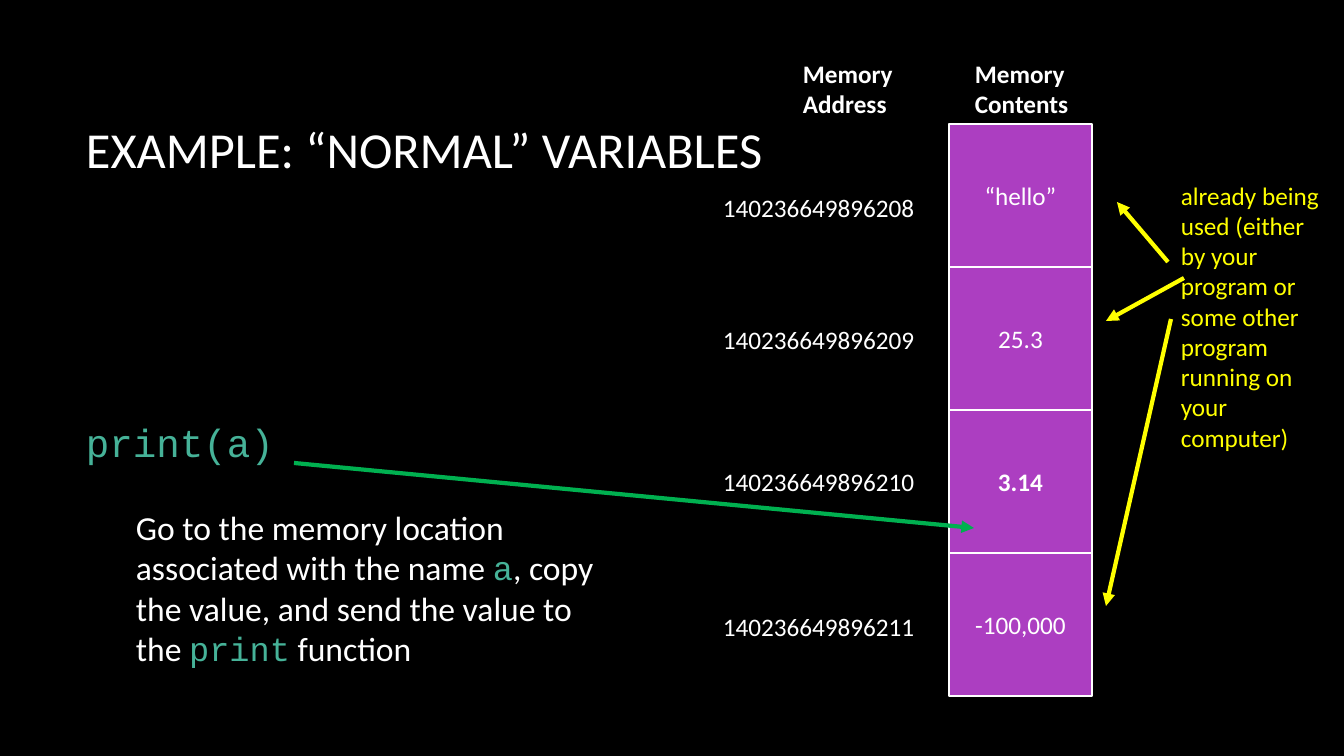
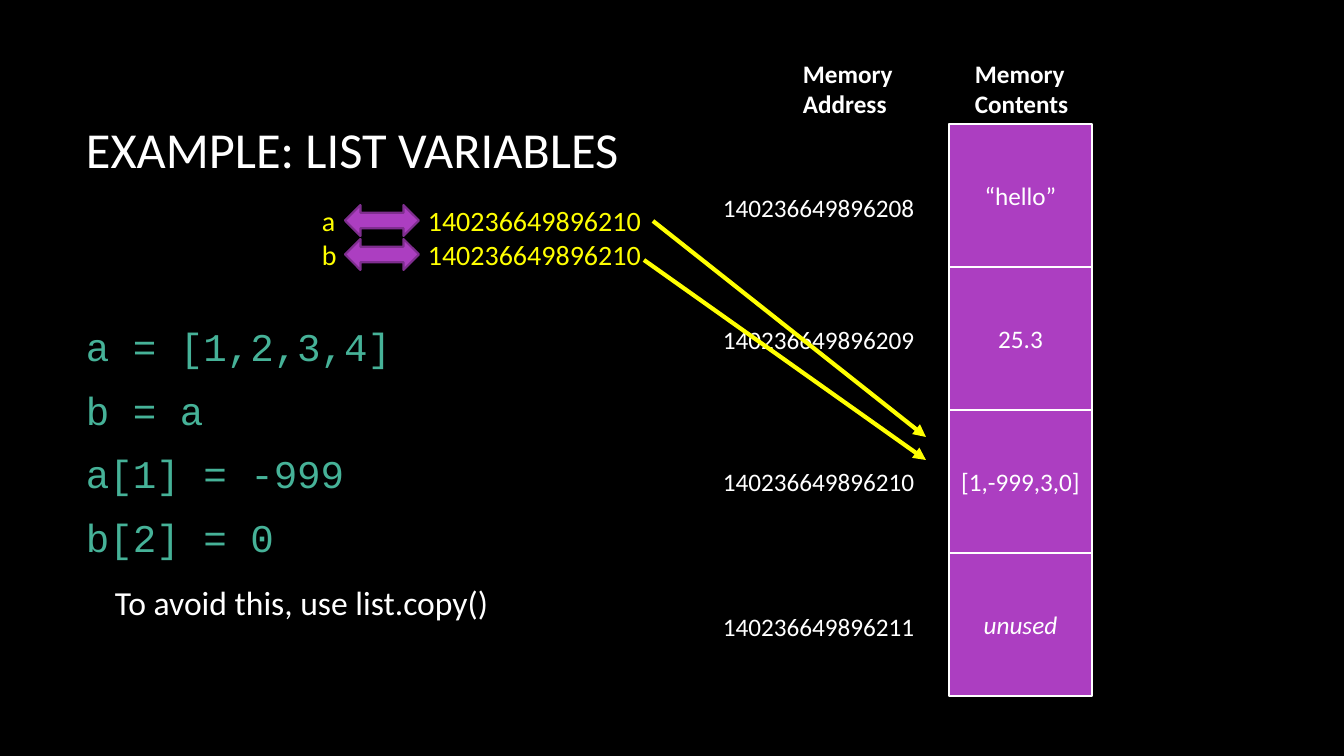
"""Build two slides on how variables refer to memory locations."""
from lxml.etree import SubElement
from pptx import Presentation
from pptx.dml.color import RGBColor
from pptx.enum.shapes import MSO_CONNECTOR, MSO_SHAPE
from pptx.enum.text import MSO_ANCHOR, MSO_AUTO_SIZE, PP_ALIGN
from pptx.oxml.ns import qn
from pptx.util import Emu, Pt

SCALE = 12192000 / 1344
COLORS = {
    "background": "000000", "text": "FFFFFF", "code": "46B298", "cell": "AC3EC1",
    "cell_edge": "7F2E8F", "note": "FFFF00", "lookup": "00B050",
}
HEADINGS = [("Memory Address", 793, 111), ("Memory Contents", 965, 140)]
ADDRESSES = [("140236649896208", 187), ("140236649896209", 319),
             ("140236649896210", 461), ("140236649896211", 606)]
CELL_LEFT, CELL_TOP, CELL_SIZE = 949, 124, 143
NAME_TOP, NAME_STEP = 199, 34

SLIDES = [
    {
        "title": "EXAMPLE: “NORMAL” VARIABLES",
        "code": ["print(a)"],
        "contents": [("“hello”", "plain"), ("25.3", "plain"), ("3.14", "bold"), ("-100,000", "plain")],
        "notes": [
            ((1171, 175, 173, 285), 18, "note",
             [("already being used (either by your program or some other program "
               "running on your computer)", "plain")]),
            ((126, 502, 508, 173), 24, "text",
             [("Go to the memory location associated with the name ", "plain"), ("a", "code"),
              (", copy the value, and send the value to the ", "plain"), ("print", "code"),
              (" function", "plain")]),
        ],
        "names": [],
        "arrows": [("note", (1168, 262, 1117, 202)), ("note", (1184, 278, 1106, 321)),
                   ("note", (1171, 319, 1106, 606)), ("lookup", (294, 463, 974, 528))],
    },
    {
        "title": "EXAMPLE: LIST VARIABLES",
        "code": ["a = [1,2,3,4]", "b = a", "a[1] = -999", "b[2] = 0"],
        "contents": [("“hello”", "plain"), ("25.3", "plain"), ("[1,-999,3,0]", "plain"), ("unused", "italic")],
        "notes": [((105, 577, 508, 50), 24, "text", [("To avoid this, use list.copy()", "plain")])],
        "names": ["a", "b"],
        "arrows": [("note", (653, 221, 926, 437)), ("note", (644, 260, 926, 460))],
    },
]


def px(*lengths):
    """Turn pixel lengths into EMU."""
    return [Emu(round(length * SCALE)) for length in lengths]


def write(shape, paragraphs, size, color="text", middle=False, centered=False, wrap=True):
    """Fill a shape with paragraphs of (text, style) runs."""
    frame = shape.text_frame
    frame.word_wrap = wrap
    frame.auto_size = MSO_AUTO_SIZE.NONE if middle else MSO_AUTO_SIZE.SHAPE_TO_FIT_TEXT
    frame.vertical_anchor = MSO_ANCHOR.MIDDLE if middle else MSO_ANCHOR.TOP
    for index, runs in enumerate(paragraphs):
        paragraph = frame.add_paragraph() if index else frame.paragraphs[0]
        paragraph.alignment = PP_ALIGN.CENTER if centered else PP_ALIGN.LEFT
        for text, style in runs:
            run = paragraph.add_run()
            run.text = text
            run.font.size = Pt(size)
            run.font.name = "Courier New" if style == "code" else "Calibri"
            run.font.bold = style == "bold"
            run.font.italic = style == "italic"
            run.font.color.rgb = RGBColor.from_string(COLORS["code" if style == "code" else color])


presentation = Presentation()
presentation.slide_width, presentation.slide_height = px(1344, 756)
background = presentation.slide_master.background.fill
background.solid()
background.fore_color.rgb = RGBColor.from_string(COLORS["background"])

for content in SLIDES:
    slide = presentation.slides.add_slide(presentation.slide_layouts[6])
    shapes = slide.shapes

    write(shapes.add_textbox(*px(76, 68, 1117, 160)), [[(content["title"], "plain")]], 36, middle=True)
    code = shapes.add_textbox(*px(76, 239, 1117, 402))
    write(code, [[(line, "code")] for line in content["code"]], 28, middle=True)
    for paragraph in code.text_frame.paragraphs:
        paragraph.line_spacing = 1.06
        paragraph.space_after = Pt(10)

    blocks = []
    for row, value in enumerate(content["contents"]):
        cell = shapes.add_shape(
            MSO_SHAPE.RECTANGLE, *px(CELL_LEFT, CELL_TOP + row * CELL_SIZE, CELL_SIZE, CELL_SIZE))
        write(cell, [[value]], 18, middle=True, centered=True)
        blocks.append((cell, "text"))

    for heading, left, width in HEADINGS:
        write(shapes.add_textbox(*px(left, 53, width, 72)), [[(heading, "bold")]], 18)
    for address, top in ADDRESSES:
        write(shapes.add_textbox(*px(713, top, 214, 40)), [[(address, "plain")]], 18, wrap=False)
    for box, size, color, runs in content["notes"]:
        write(shapes.add_textbox(*px(*box)), [runs], size, color)

    for row, name in enumerate(content["names"]):
        top = NAME_TOP + row * NAME_STEP
        write(shapes.add_textbox(*px(312, top, 333, 44)), [[(name, "plain")]], 20, "note")
        link = shapes.add_shape(MSO_SHAPE.LEFT_RIGHT_ARROW, *px(345, top + 6, 74, 31))
        blocks.append((link, "cell_edge"))
        write(shapes.add_textbox(*px(418, top, 235, 44)),
              [[("140236649896210", "plain")]], 20, "note", wrap=False)

    for block, edge in blocks:
        block.shadow.inherit = False
        block.fill.solid()
        block.fill.fore_color.rgb = RGBColor.from_string(COLORS["cell"])
        block.line.color.rgb = RGBColor.from_string(COLORS[edge])
        block.line.width = Pt(1.5)

    for color, ends in content["arrows"]:
        arrow = shapes.add_connector(MSO_CONNECTOR.STRAIGHT, *px(*ends))
        arrow.line.color.rgb = RGBColor.from_string(COLORS[color])
        arrow.line.width = Pt(3)
        SubElement(arrow.line._get_or_add_ln(), qn("a:tailEnd"), type="triangle")
        SubElement(arrow._element.spPr, qn("a:effectLst"))

presentation.save("out.pptx")
